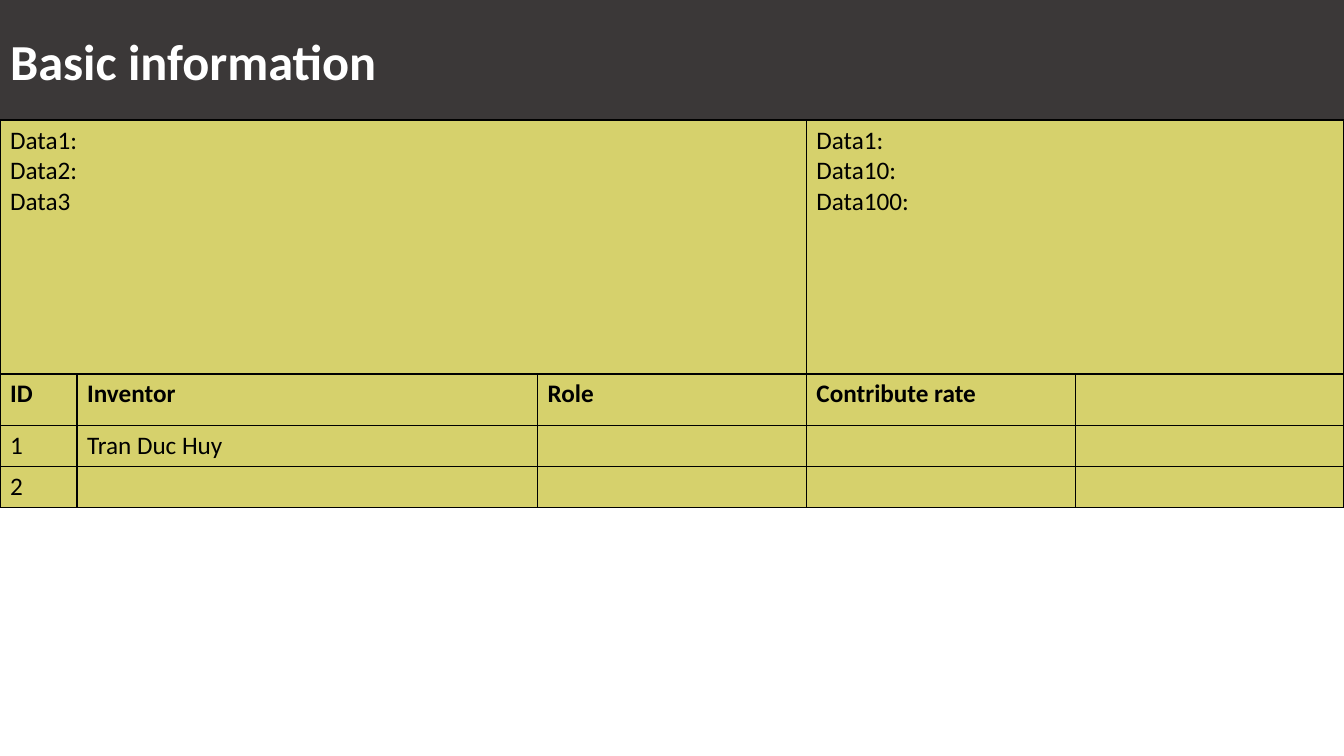
from dataclasses import dataclass
from lxml.etree import SubElement as Sub
from pptx import Presentation
from pptx.dml.color import RGBColor as Rgb
from pptx.enum.text import MSO_ANCHOR as Anchor, MSO_AUTO_SIZE as Auto, PP_ALIGN as Align
from pptx.oxml.ns import qn
from pptx.util import Pt


@dataclass(frozen=True)
class Theme:
    font: str = "Calibri"
    dark: str = "3B3838"
    gold: str = "D6D16C"
    white: str = "FFFFFF"
    black: str = "000000"
    head: float = 36
    body: float = 18
    line: float = 1


THEME = Theme()
WIDE, HIGH, TOP = 960, 540, 85.7
COLS = [55, 329, 192, 192, 192]
ROWS = [181.4, 36.6, 29.3, 29.3]
DATA = [
    ["Data1:\nData2:\nData3", "", "", "Data1:\nData10:\nData100:", ""],
    ["ID", "Inventor", "Role", "Contribute rate", ""],
    ["1", "Tran Duc Huy", "", "", ""],
    ["2", "", "", "", ""],
]
SPANS = [(0, 2), (3, 4)]


def paint(part, color):
    part.fill.solid()
    part.fill.fore_color.rgb = Rgb.from_string(color)


def write(frame, text, size=THEME.body, color=THEME.black, bold=False):
    frame.text = text
    for para in frame.paragraphs:
        para.alignment = Align.LEFT
        for run in para.runs:
            font = run.font
            font.name, font.size, font.bold = THEME.font, Pt(size), bold
            font.color.rgb = Rgb.from_string(color)


def border(cell):
    props = cell._tc.get_or_add_tcPr()
    for spot, side in enumerate(("lnL", "lnR", "lnT", "lnB")):
        line = Sub(props, qn("a:" + side), w=str(Pt(THEME.line)))
        fill = Sub(line, qn("a:solidFill"))
        Sub(fill, qn("a:srgbClr"), val=THEME.black)
        props.insert(spot, line)


def banner(slide, left, top, width, height):
    title = slide.shapes.title
    title.left, title.top = Pt(left), Pt(top)
    title.width, title.height = Pt(width), Pt(height)
    paint(title, THEME.dark)
    frame = title.text_frame
    frame.auto_size = Auto.NONE
    frame.vertical_anchor = Anchor.MIDDLE
    write(frame, "Basic information", size=THEME.head, color=THEME.white, bold=True)


def roster(slide, left, top, width, height):
    grid = slide.shapes.add_table(
        len(ROWS), len(COLS), Pt(left), Pt(top), Pt(width), Pt(height)
    ).table
    grid.first_row = grid.horz_banding = False
    for col, size in zip(grid.columns, COLS):
        col.width = Pt(size * width / sum(COLS))
    for row, size in zip(grid.rows, ROWS):
        row.height = Pt(size * height / sum(ROWS))
    for first, last in SPANS:
        grid.cell(0, first).merge(grid.cell(0, last))
    for i, row in enumerate(DATA):
        for j, text in enumerate(row):
            cell = grid.cell(i, j)
            paint(cell, THEME.gold)
            border(cell)
            write(cell.text_frame, text, bold=i == 1)


def main():
    deck = Presentation()
    deck.slide_width, deck.slide_height = Pt(WIDE), Pt(HIGH)
    slide = deck.slides.add_slide(deck.slide_layouts[5])
    banner(slide, 0, 0, WIDE, TOP)
    roster(slide, 0, TOP, WIDE, sum(ROWS))
    deck.save("out.pptx")


if __name__ == "__main__":
    main()
